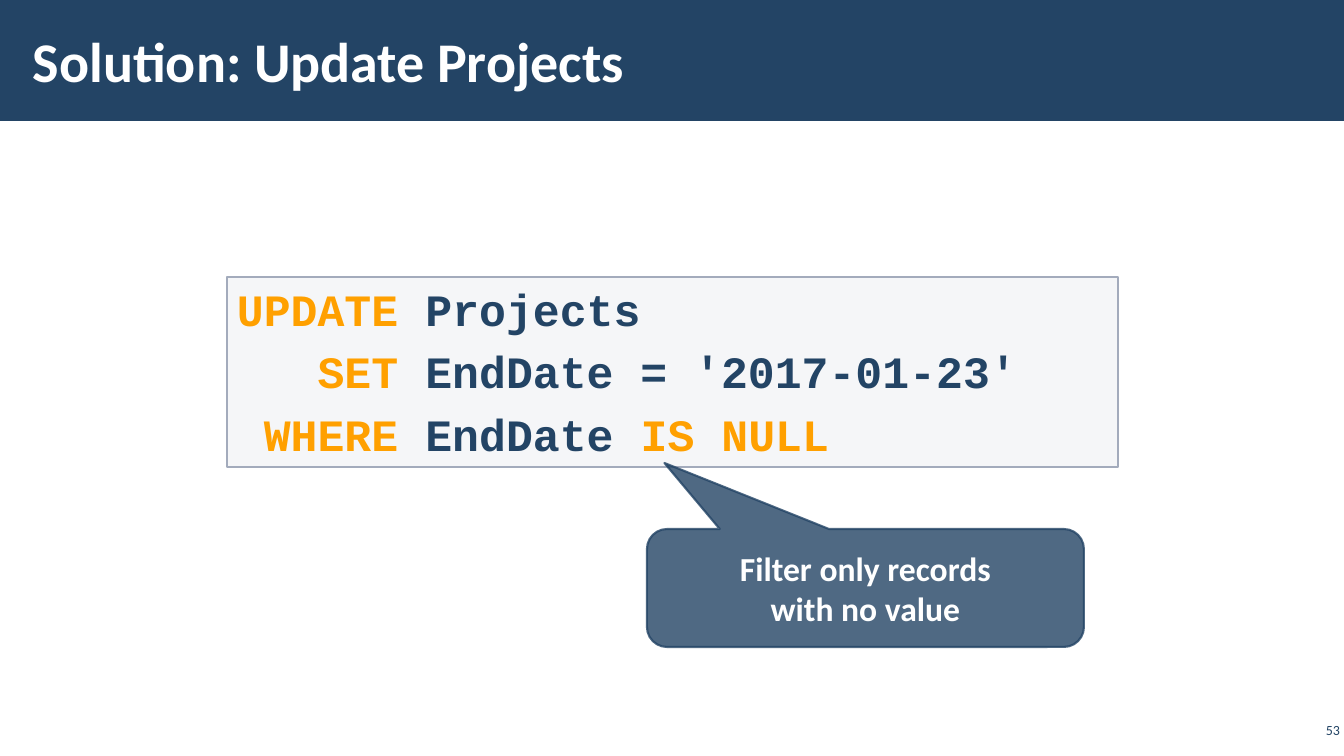
from lxml.etree import SubElement
from pptx import Presentation
from pptx.dml.color import RGBColor
from pptx.enum.shapes import MSO_SHAPE
from pptx.enum.text import MSO_ANCHOR, PP_ALIGN
from pptx.oxml.ns import qn
from pptx.util import Emu, Pt

COLORS = {
    "navy": "234465",
    "white": "FFFFFF",
    "keyword": "FFA000",
    "code_fill": "C2C7D2",
    "code_line": "A3ABBC",
}
CODE = [
    [("UPDATE ", "keyword"), ("Projects", "navy")],
    [("   SET", "keyword"), (" EndDate = '2017-01-23'", "navy")],
    [(" WHERE", "keyword"), (" EndDate ", "navy"), ("IS NULL", "keyword")],
]


def px(n):
    return Emu(round(n * 12192000 / 1344))


def color(name):
    return RGBColor.from_string(COLORS[name])


def set_alpha(fill_parent, percent):
    clr = fill_parent.find(qn("a:solidFill")).find(qn("a:srgbClr"))
    SubElement(clr, qn("a:alpha")).set("val", str(percent * 1000))


def style_run(r, size, name, font="Calibri", bold=True):
    r.font.size = Pt(size)
    r.font.name = font
    r.font.bold = bold
    r.font.color.rgb = color(name)


def set_frame(sp, margins, anchor=MSO_ANCHOR.MIDDLE):
    tf = sp.text_frame
    tf.word_wrap = True
    tf.vertical_anchor = anchor
    tf.margin_left, tf.margin_top, tf.margin_right, tf.margin_bottom = map(px, margins)
    return tf


def fill_text(tf, text, size, name, align, bold=True):
    tf.text = text
    for p in tf.paragraphs:
        p.alignment = align
        for r in p.runs:
            style_run(r, size, name, bold=bold)


def add_box(s, kind, box, fill, alpha=100, line=None, width=1, line_alpha=100):
    sp = s.shapes.add_shape(kind, *map(px, box))
    sp.shadow.inherit = False
    sp.fill.solid()
    sp.fill.fore_color.rgb = color(fill)
    set_alpha(sp.fill._xPr, alpha)
    if line:
        sp.line.color.rgb = color(line)
        sp.line.width = Pt(width)
        set_alpha(sp.line._ln, line_alpha)
    else:
        sp.line.fill.background()
    return sp


def add_label(s, box, text, size, name, margins, align=PP_ALIGN.LEFT, bold=True):
    sp = s.shapes.add_textbox(*map(px, box))
    fill_text(set_frame(sp, margins), text, size, name, align, bold)


def add_code(s, box, lines):
    sp = add_box(s, MSO_SHAPE.RECTANGLE, box, "code_fill", 15, "code_line")
    tf = set_frame(sp, (10, 5, 10, 5), MSO_ANCHOR.TOP)
    for i, tokens in enumerate(lines):
        p = tf.add_paragraph() if i else tf.paragraphs[0]
        p.alignment = PP_ALIGN.LEFT
        if i:
            p.space_before = Pt(6)
        for text, name in tokens:
            r = p.add_run()
            r.text = text
            style_run(r, 32, name, "Courier New")


def add_callout(s, box, adjustments, text):
    sp = add_box(s, MSO_SHAPE.ROUNDED_RECTANGULAR_CALLOUT, box, "navy", 80, "navy", 1.5, 80)
    for i, value in enumerate(adjustments):
        sp.adjustments[i] = value
    fill_text(set_frame(sp, (10, 5, 10, 5)), text, 24, "white", PP_ALIGN.CENTER)


def main():
    prs = Presentation()
    prs.slide_width, prs.slide_height = px(1344), px(756)
    s = prs.slides.add_slide(prs.slide_layouts[6])
    add_box(s, MSO_SHAPE.RECTANGLE, (0, 0, 1344, 121), "navy")
    add_label(s, (21, 11, 1047, 98), "Solution: Update Projects", 40, "white", (12, 4, 12, 4))
    add_label(s, (1296, 719, 48, 22), "53", 10, "navy", (4, 4, 4, 4), PP_ALIGN.RIGHT, False)
    add_code(s, (227, 277, 891, 190), CODE)
    add_callout(s, (647, 529, 437, 118), (-0.46, -1.06, 0.17),
                "Filter only records\nwith no value")
    prs.save("out.pptx")


if __name__ == "__main__":
    main()
